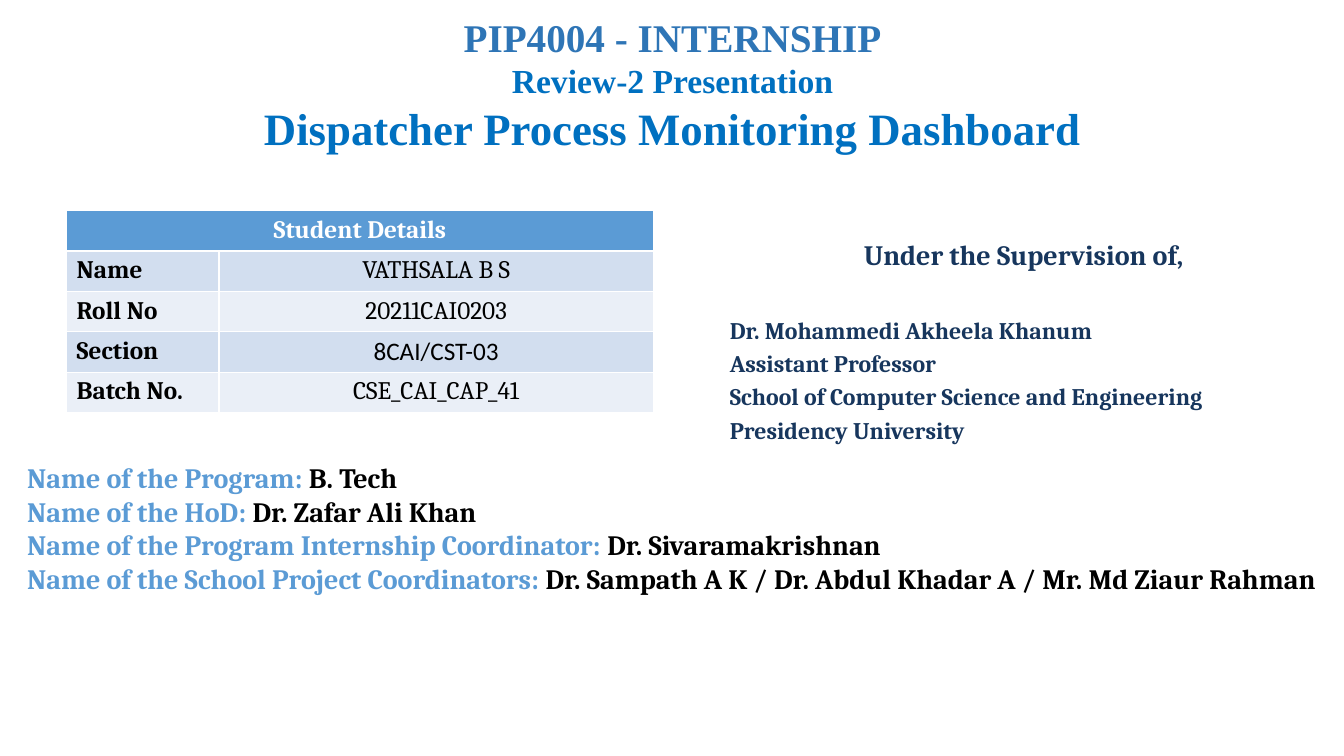
from pptx import Presentation
from pptx.dml.color import RGBColor
from pptx.enum.text import MSO_ANCHOR, PP_ALIGN as Align
from pptx.util import Inches, Pt


def color(hex_code):
    return RGBColor.from_string(hex_code)


class InternshipSlide:
    SERIF = "Cambria"
    TITLE_FONT = "Times New Roman"
    PLAIN = "Calibri"
    BLACK = "000000"
    WHITE = "FFFFFF"
    NAVY = "17365D"
    ACCENT = "5B9BD5"
    COURSE_BLUE = "2E75B6"
    TITLE_BLUE = "0070C0"
    BANDS = ("D2DEEF", "EAEFF7")

    def __init__(self, presentation):
        self.width = presentation.slide_width
        self.height = presentation.slide_height
        self.slide = presentation.slides.add_slide(presentation.slide_layouts[6])

    def place(self, left, top, width, height):
        return (
            int(self.width * left / 100),
            int(self.height * top / 100),
            int(self.width * width / 100),
            int(self.height * height / 100),
        )

    def style(self, run, size, hex_code, font=SERIF, bold=True):
        run.font.size = Pt(size)
        run.font.name = font
        run.font.bold = bold
        run.font.color.rgb = color(hex_code)

    def text_box(self, area):
        text_frame = self.slide.shapes.add_textbox(*self.place(*area)).text_frame
        text_frame.word_wrap = True
        text_frame.vertical_anchor = MSO_ANCHOR.TOP
        return text_frame

    def lines(self, area, rows):
        text_frame = self.text_box(area)
        text_frame.text = "\n".join(row[0] for row in rows)
        for paragraph, row in zip(text_frame.paragraphs, rows):
            _, size, hex_code, font, alignment, space_before = row
            paragraph.alignment = alignment
            paragraph.space_before = Pt(space_before)
            self.style(paragraph.runs[0], size, hex_code, font)

    def labelled_lines(self, area, entries, size):
        text_frame = self.text_box(area)
        for index, (label, value) in enumerate(entries):
            paragraph = text_frame.add_paragraph() if index else text_frame.paragraphs[0]
            for text, hex_code in ((f"{label}: ", self.ACCENT), (value, self.BLACK)):
                run = paragraph.add_run()
                run.text = text
                self.style(run, size, hex_code)

    def cell(self, cell, text, fill, hex_code, alignment, font=SERIF, bold=True):
        cell.fill.solid()
        cell.fill.fore_color.rgb = color(fill)
        cell.text_frame.text = text
        paragraph = cell.text_frame.paragraphs[0]
        paragraph.alignment = alignment
        self.style(paragraph.runs[0], 18, hex_code, font, bold)

    def details_table(self, area, heading, entries, label_share):
        left, top, width, height = self.place(*area)
        table = self.slide.shapes.add_table(
            len(entries) + 1, 2, left, top, width, height
        ).table
        table.columns[0].width = int(width * label_share)
        table.columns[1].width = width - table.columns[0].width
        table.cell(0, 0).merge(table.cell(0, 1))
        self.cell(table.cell(0, 0), heading, self.ACCENT, self.WHITE, Align.CENTER)
        for row, (label, value, font) in enumerate(entries, start=1):
            band = self.BANDS[(row - 1) % 2]
            self.cell(table.cell(row, 0), label, band, self.BLACK, Align.LEFT)
            self.cell(table.cell(row, 1), value, band, self.BLACK, Align.CENTER, font, False)


def main():
    presentation = Presentation()
    presentation.slide_width = Inches(13.33)
    presentation.slide_height = Inches(7.5)
    page = InternshipSlide(presentation)

    supervisor = (
        "Dr. Mohammedi Akheela Khanum",
        "Assistant Professor",
        "School of Computer Science and Engineering",
        "Presidency University",
    )
    supervision = [("Under the Supervision of,", 20, page.NAVY, page.SERIF, Align.CENTER, 0)]
    supervision += [
        (text, 17, page.NAVY, page.SERIF, Align.LEFT, 3.4 if index else 31.4)
        for index, text in enumerate(supervisor)
    ]
    page.lines((53.56, 30.8, 45.24, 29.47), supervision)

    page.labelled_lines(
        (1.28, 60.27, 100.5, 22.8),
        (
            ("Name of the Program", "B. Tech"),
            ("Name of the HoD", "Dr. Zafar Ali Khan"),
            ("Name of the Program Internship Coordinator", "Dr. Sivaramakrishnan"),
            (
                "Name of the School Project Coordinators",
                "Dr. Sampath A K / Dr. Abdul Khadar A / Mr. Md Ziaur Rahman",
            ),
        ),
        20,
    )

    titles = (
        ("PIP4004 - INTERNSHIP", 28, page.COURSE_BLUE),
        ("Review-2 Presentation", 24, page.TITLE_BLUE),
        ("Dispatcher Process Monitoring Dashboard", 32, page.TITLE_BLUE),
    )
    page.lines(
        (6.9, 1.07, 86.27, 23.6),
        [(*title, page.TITLE_FONT, Align.CENTER, 0) for title in titles],
    )

    page.details_table(
        (4.95, 27.87, 43.66, 26.67),
        "Student Details",
        (
            ("Name", "VATHSALA B S", page.SERIF),
            ("Roll No", "20211CAI0203", page.SERIF),
            ("Section", "8CAI/CST-03", page.PLAIN),
            ("Batch No.", "CSE_CAI_CAP_41", page.SERIF),
        ),
        0.26,
    )
    presentation.save("out.pptx")


if __name__ == "__main__":
    main()
